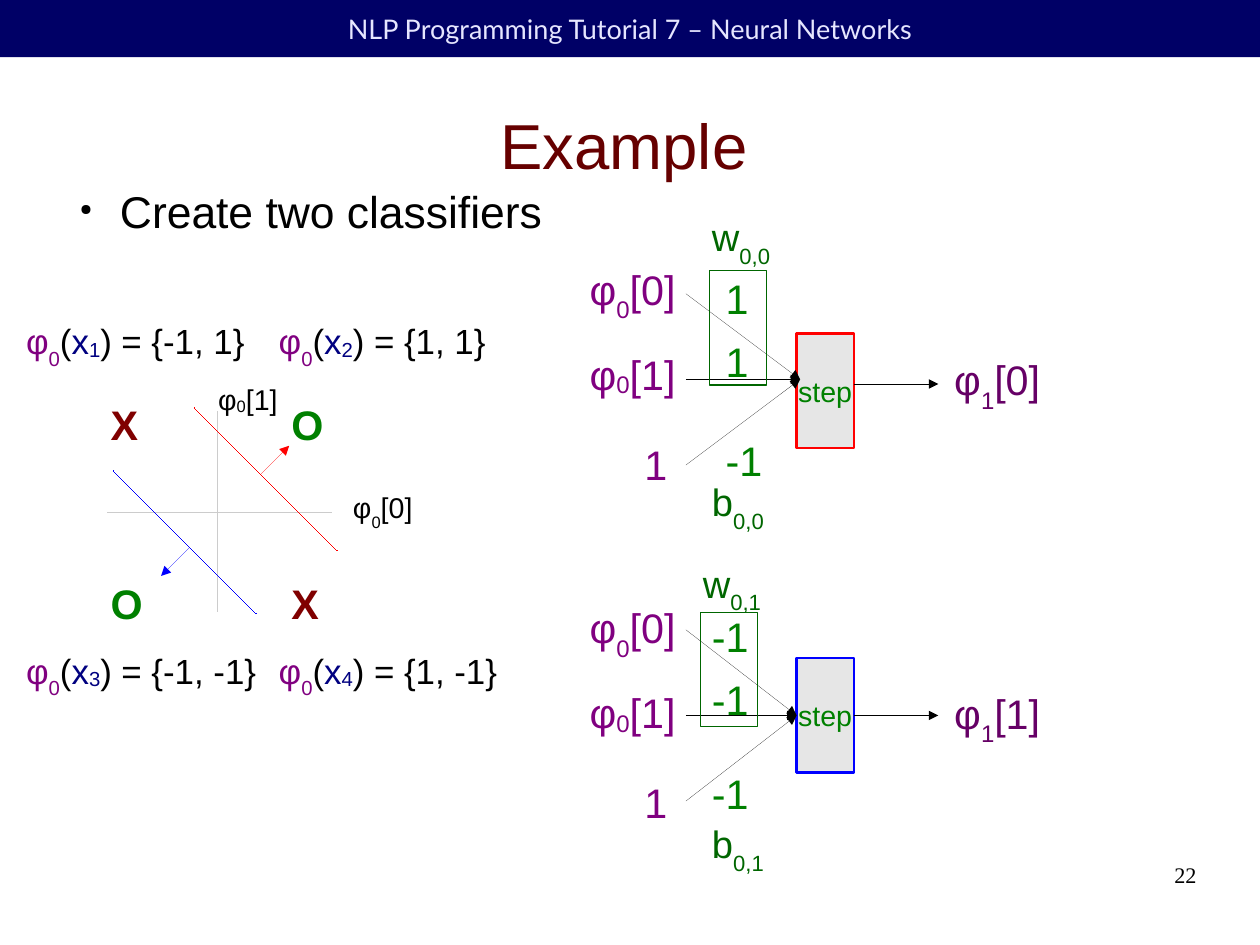
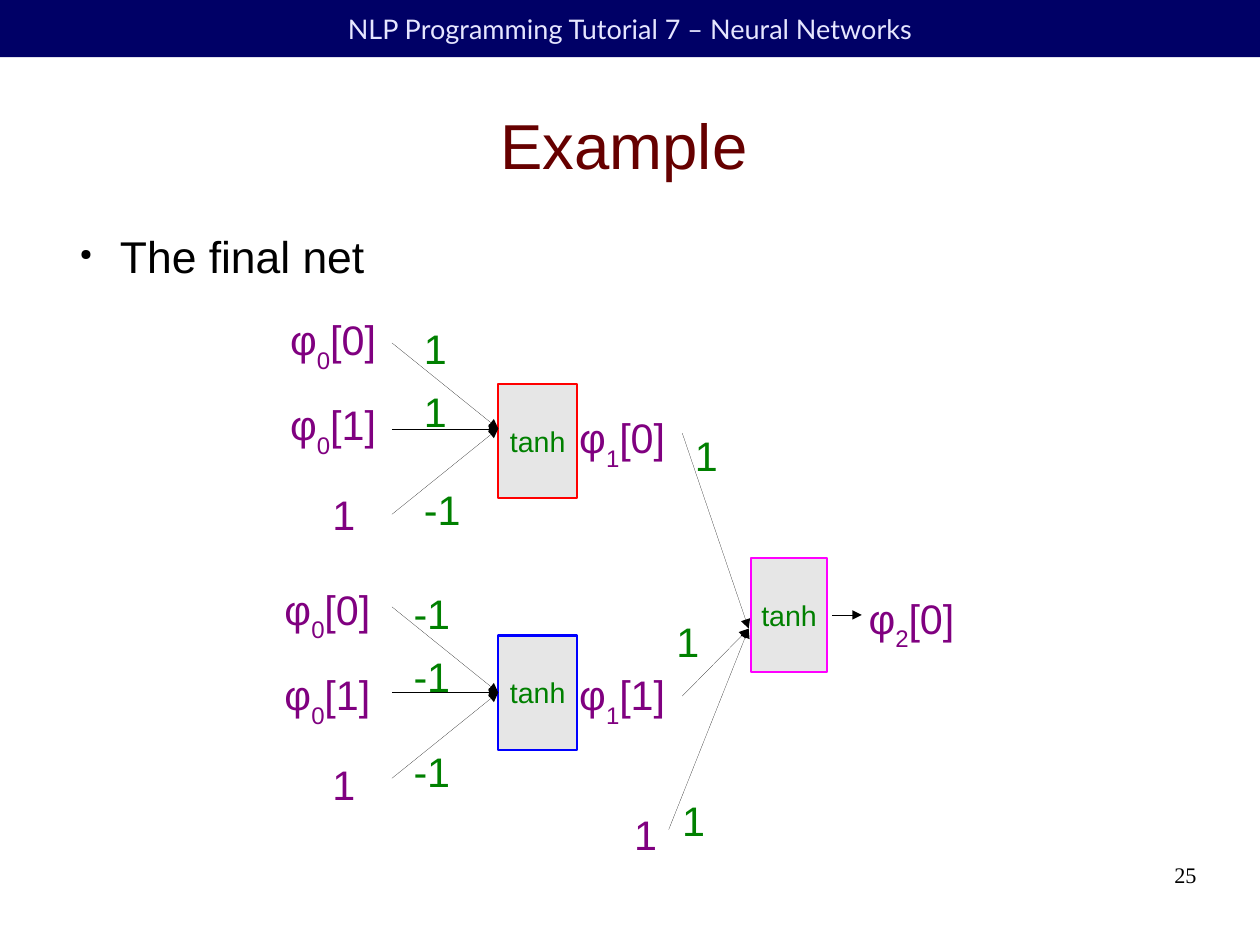
from dataclasses import dataclass

from lxml import etree
from pptx import Presentation
from pptx.dml.color import RGBColor
from pptx.enum.shapes import MSO_CONNECTOR, MSO_SHAPE
from pptx.enum.text import MSO_ANCHOR, MSO_AUTO_SIZE, PP_ALIGN
from pptx.oxml.ns import qn
from pptx.util import Pt

LEFT, CENTER, RIGHT = PP_ALIGN.LEFT, PP_ALIGN.CENTER, PP_ALIGN.RIGHT
TOP, MIDDLE = MSO_ANCHOR.TOP, MSO_ANCHOR.MIDDLE
FIT_SHAPE = MSO_AUTO_SIZE.SHAPE_TO_FIT_TEXT
RECTANGLE, STRAIGHT = MSO_SHAPE.RECTANGLE, MSO_CONNECTOR.STRAIGHT
LEFT_SIDE, RIGHT_SIDE = 1, 3

BLACK = RGBColor(0x00, 0x00, 0x00)
BAND = RGBColor(0x00, 0x00, 0x66)
BAND_TEXT = RGBColor(0xE6, 0xE6, 0xFF)
TITLE = RGBColor(0x66, 0x00, 0x00)
MAROON = RGBColor(0x80, 0x00, 0x00)
GREEN = RGBColor(0x00, 0x80, 0x00)
DARK_GREEN = RGBColor(0x00, 0x66, 0x00)
NAVY = RGBColor(0x00, 0x00, 0x80)
PURPLE = RGBColor(0x80, 0x00, 0x80)
DARK_PURPLE = RGBColor(0x66, 0x00, 0x66)
RED = RGBColor(0xFF, 0x00, 0x00)
BLUE = RGBColor(0x00, 0x00, 0xFF)
MAGENTA = RGBColor(0xFF, 0x00, 0xFF)
NODE_FILL = RGBColor(0xE6, 0xE6, 0xE6)
AXIS = RGBColor(0xCC, 0xCC, 0xCC)

SLIDE_WIDTH, SLIDE_HEIGHT = 793.7, 595.3
SUBSCRIPT, SLIGHT_DROP = -33, -8  # percent of the text size
NODE_HEIGHT = 72
ARROW_STEP = 54


def add_spans(para, spans, size, font="Arial", bold=False):
    """Add runs given as (text, colour) or (text, colour, baseline percent)."""
    for text, colour, *baseline in spans:
        span = para.add_run()
        span.text = text
        span.font.size = Pt(size)
        span.font.name = font
        span.font.bold = bold
        span.font.color.rgb = colour
        if baseline:
            span._r.get_or_add_rPr().set("baseline", str(baseline[0] * 1000))


def set_margins(frame, side, end):
    frame.margin_left = frame.margin_right = Pt(side)
    frame.margin_top = frame.margin_bottom = Pt(end)


def add_text(page, left, top, width, height, spans, size, font="Arial",
             align=LEFT, anchor=TOP):
    """Add wrapped text without margins and return its paragraph."""
    box = page.shapes.add_textbox(Pt(left), Pt(top), Pt(width), Pt(height))
    frame = box.text_frame
    frame.word_wrap = True
    frame.vertical_anchor = anchor
    set_margins(frame, 0, 0)
    para = frame.paragraphs[0]
    para.alignment = align
    add_spans(para, spans, size, font)
    return para


def add_label(page, left, top, width, height, spans, size=26, bold=False):
    """Add a one-line label that does not wrap."""
    box = page.shapes.add_textbox(Pt(left), Pt(top), Pt(width), Pt(height))
    frame = box.text_frame
    frame.word_wrap = False
    frame.auto_size = FIT_SHAPE
    set_margins(frame, 7.2, 3.6)
    add_spans(frame.paragraphs[0], spans, size, bold=bold)


def add_phi(page, left, top, layer, index, colour=PURPLE, drop=SUBSCRIPT,
            size=26):
    spans = [("φ", colour), (str(layer), colour, drop), (f"[{index}]", colour)]
    add_label(page, left, top, 2.1 * size + 16, 1.72 * size, spans, size)


def add_number(page, left, top, number, colour=GREEN):
    width = 29 if number >= 0 else 37.5
    add_label(page, left, top, width, 36, [(str(number), colour)])


def add_parameter(page, left, top, name, index):
    spans = [(name, DARK_GREEN), (index, DARK_GREEN, SUBSCRIPT)]
    add_label(page, left, top, 51, 39.6, spans, 24)


def add_rectangle(page, left, top, width, height, fill=None, line=None,
                  line_width=0):
    shape = page.shapes.add_shape(
        RECTANGLE, Pt(left), Pt(top), Pt(width), Pt(height))
    shape.shadow.inherit = False
    if fill is None:
        shape.fill.background()
    else:
        shape.fill.solid()
        shape.fill.fore_color.rgb = fill
    if line is None:
        shape.line.fill.background()
    else:
        shape.line.color.rgb = line
        shape.line.width = Pt(line_width)
    return shape


def add_node(page, left, top, width, function, colour):
    node = add_rectangle(page, left, top, width, NODE_HEIGHT,
                         NODE_FILL, colour, 1.45)
    frame = node.text_frame
    frame.word_wrap = False
    frame.vertical_anchor = MIDDLE
    set_margins(frame, 8, 4.3)
    para = frame.paragraphs[0]
    para.alignment = CENTER
    add_spans(para, [(function, GREEN)], 18)
    return node


def add_line(page, start, end, colour=BLACK):
    """Add a hairline; its zero width must be written out in the XML."""
    line = page.shapes.add_connector(
        STRAIGHT, *(Pt(length) for length in (*start, *end)))
    line.line.color.rgb = colour
    properties = line._element.spPr
    properties.find(qn("a:ln")).set("w", "0")
    etree.SubElement(properties, qn("a:effectLst"))
    return line


def add_arrow(page, start, end, colour=BLACK):
    arrow = add_line(page, start, end, colour)
    outline = arrow._element.spPr.find(qn("a:ln"))
    etree.SubElement(outline, qn("a:tailEnd")).set("type", "triangle")
    return arrow


@dataclass
class InputLayer:
    """Places and weights of the three inputs of one node."""
    labels: tuple
    bias_left: float
    arrows: tuple
    tip_left: float
    weights_at: tuple
    bias_weight_top: float
    weights: tuple
    drop: int = SUBSCRIPT


def add_input_layer(page, layer, node=None):
    """Draw labels, arrows and weights; join the arrows to node if given."""
    left, top = layer.labels
    add_phi(page, left, top, 0, 0)
    add_phi(page, left, top + 53.8, 0, 1, drop=layer.drop)
    add_number(page, layer.bias_left, top + 110.5, 1, PURPLE)

    left, top = layer.arrows
    for row in range(3):
        arrow = add_arrow(page, (left, top + row * ARROW_STEP),
                          (layer.tip_left, top + ARROW_STEP))
        if node is not None:
            arrow.end_connect(node, LEFT_SIDE)

    left, top = layer.weights_at
    tops = (top, top + 39.6, layer.bias_weight_top)
    for weight_top, weight in zip(tops, layer.weights):
        add_number(page, left, weight_top, weight)


def add_boundary(page, middle_x, middle_y, side, colour):
    """Draw a diagonal boundary and its normal; side is 1 or -1."""
    reach, offset, normal = 45 * side, 3.2 * side, 18 * side
    add_line(page, (middle_x - reach, middle_y - reach),
             (middle_x + reach, middle_y + reach), colour)
    foot_x, foot_y = middle_x - offset, middle_y - offset
    add_arrow(page, (foot_x, foot_y), (foot_x + normal, foot_y - normal),
              colour)


def add_page(deck, number, point, point_top):
    """Add a page with band, title, page number and one bullet point."""
    page = deck.slides.add_slide(deck.slide_layouts[6])
    add_rectangle(page, 0, 0, SLIDE_WIDTH, 36, BAND)
    add_text(page, 0, 0, SLIDE_WIDTH, 36,
             [("NLP Programming Tutorial 7 – Neural Networks", BAND_TEXT)],
             17, "Lato", CENTER, MIDDLE)
    add_text(page, 36, 45, 714, 91.4, [("Example", TITLE)], 40,
             align=CENTER, anchor=MIDDLE)
    add_text(page, 568.8, 542.5, 185, 41, [(str(number), BLACK)], 14,
             "Times New Roman", RIGHT)

    para = add_text(page, 41.8, point_top, 714, 32, [(point, BLACK)], 28)
    properties = para._p.get_or_add_pPr()
    properties.set("marL", str(Pt(33.8)))
    properties.set("indent", str(-Pt(25.2)))
    etree.SubElement(properties, qn("a:buSzPct")).set("val", "35000")
    etree.SubElement(properties, qn("a:buChar")).set("char", "●")
    return page


def add_plot(page):
    for left, top, mark, colour in (
            (62.6, 247.7, "X", MAROON), (62.6, 360.7, "O", GREEN),
            (176.4, 247.7, "O", GREEN), (176.4, 360.7, "X", MAROON)):
        add_label(page, left, top, 34.6, 36, [(mark, colour)], bold=True)
    add_line(page, (136.8, 259.2), (136.8, 385.2), AXIS)
    add_line(page, (67.7, 322.6), (208.8, 322.6), AXIS)
    add_phi(page, 215.3, 305.3, 0, 0, BLACK, size=18)
    add_phi(page, 130.3, 236.9, 0, 1, BLACK, SLIGHT_DROP, 18)
    add_boundary(page, 167.4, 302, 1, RED)
    add_boundary(page, 116.3, 341.6, -1, BLUE)

    points = ("-1, 1", "1, 1", "-1, -1", "1, -1")
    for position, point in enumerate(points):
        row, column = divmod(position, 2)
        spans = [("φ", PURPLE), ("0", PURPLE, SUBSCRIPT), ("(", BLACK),
                 ("x", NAVY), (str(position + 1), NAVY, SLIGHT_DROP),
                 (f") = {{{point}}}", BLACK)]
        add_label(page, 9.4 + 159.1 * column, 198 + 207.4 * row, 160, 38.9,
                  spans, 22)


def add_classifiers_page(deck):
    page = add_page(deck, 22, "Create two classifiers", 116)
    add_plot(page)

    add_node(page, 501.8, 210.2, 36, "step", RED)
    second = add_node(page, 501.8, 414.7, 36, "step", BLUE)
    add_input_layer(page, InputLayer(
        (364.3, 162.7), 398.9, (432, 185), 504, (450, 168.5), 270.7,
        (1, 1, -1), SLIGHT_DROP))
    add_input_layer(page, InputLayer(
        (364.3, 375.8), 398.9, (432, 396.7), 501.8, (441.4, 381.6), 480.2,
        (-1, -1, -1), SLIGHT_DROP), second)
    add_rectangle(page, 447.1, 170.6, 36, 72, line=DARK_GREEN)
    add_rectangle(page, 441.4, 385.9, 36, 72, line=DARK_GREEN)
    add_parameter(page, 441.4, 131, "w", "0,0")
    add_parameter(page, 441.4, 298.1, "b", "0,0")
    add_parameter(page, 435.6, 349.2, "w", "0,1")
    add_parameter(page, 441.4, 513.4, "b", "0,1")

    add_arrow(page, (537.8, 241.9), (591.1, 241.9))
    output = add_arrow(page, (537.8, 450.7), (591.1, 450.7))
    output.begin_connect(second, RIGHT_SIDE)
    add_phi(page, 594, 219.6, 1, 0, DARK_PURPLE)
    add_phi(page, 594, 429.8, 1, 1, DARK_PURPLE)


def add_final_net_page(deck):
    page = add_page(deck, 25, "The final net", 144)
    add_node(page, 313.9, 241.9, 49.7, "tanh", RED)
    second = add_node(page, 313.9, 400.3, 49.7, "tanh", BLUE)
    add_input_layer(page, InputLayer(
        (175.7, 194.4), 202.3, (246.9, 216), 313.9, (259.9, 200.2), 301.7,
        (1, 1, -1)))
    add_input_layer(page, InputLayer(
        (172.1, 364.3), 202.3, (246.9, 382.3), 313.9, (253.4, 367.2), 466.6,
        (-1, -1, -1)), second)

    for start in ((429.8, 272.9), (429.8, 438.5), (421.2, 522.7)):
        add_arrow(page, start, (471.6, 396))
    for left, top in ((430.6, 267.8), (419, 384.5), (422.6, 497.5)):
        add_number(page, left, top, 1)
    add_number(page, 392.4, 506.2, 1, PURPLE)
    add_node(page, 473, 351.4, 48.2, "tanh", MAGENTA)
    add_arrow(page, (524.2, 387.4), (542.9, 387.4))
    add_phi(page, 357.8, 256.3, 1, 0)
    add_phi(page, 357.8, 418.3, 1, 1)
    add_phi(page, 540, 370, 2, 0)


def main():
    deck = Presentation()
    deck.slide_width, deck.slide_height = Pt(SLIDE_WIDTH), Pt(SLIDE_HEIGHT)
    add_classifiers_page(deck)
    add_final_net_page(deck)
    deck.save("out.pptx")


if __name__ == "__main__":
    main()
